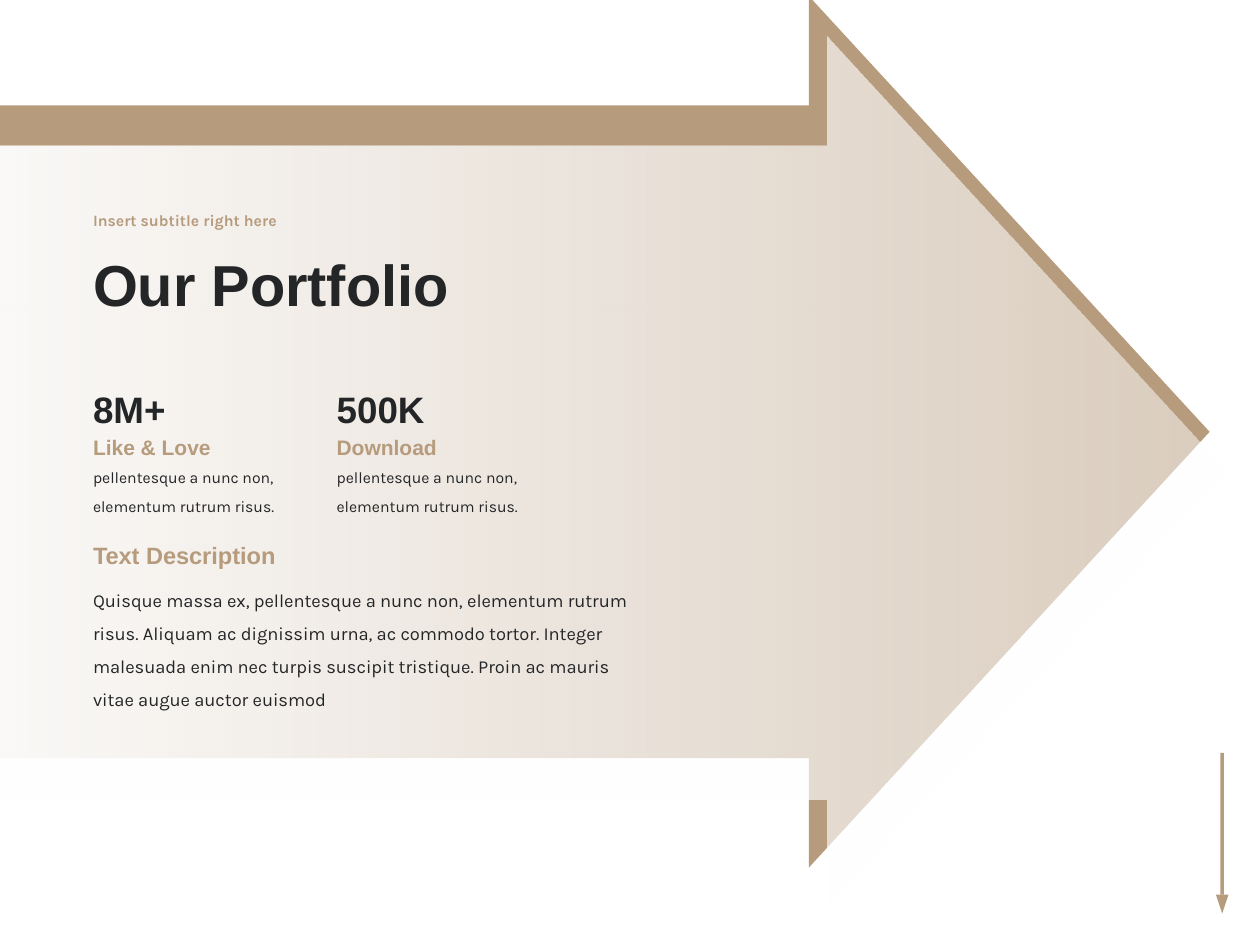
from lxml.etree import SubElement
from pptx import Presentation
from pptx.dml.color import RGBColor
from pptx.enum.shapes import MSO_SHAPE as Shape
from pptx.enum.text import MSO_ANCHOR as Anchor, MSO_AUTO_SIZE as AutoSize
from pptx.oxml.ns import qn
from pptx.util import Pt

TAN = RGBColor(0xB6, 0x9B, 0x7D)
DARK = RGBColor(0x24, 0x25, 0x27)
WHITE = RGBColor(0xFF, 0xFF, 0xFF)
HEADING_FONT, BODY_FONT = "Arial", "Karla"


def finish_solid(shape, color):
    shape.shadow.inherit = False
    shape.fill.solid()
    shape.fill.fore_color.rgb = color
    shape.line.fill.background()


def fade_white(shape, opacities):
    """Fill with white that turns more transparent from left to right."""
    shape.fill.gradient()
    shape.fill.gradient_angle = 0
    for stop, position, opacity in zip(shape.fill.gradient_stops, (0, 1), opacities):
        stop.position = position
        stop.color.rgb = WHITE
        color = stop._gs.find(qn("a:srgbClr"))
        SubElement(color, qn("a:alpha")).set("val", str(opacity * 1000))


def add_text(slide, box, text, size, color, font=HEADING_FONT, bold=True,
             spacing=None, anchor=Anchor.TOP, grow=True):
    left, top, width, height = box
    shape = slide.shapes.add_textbox(Pt(left), Pt(top), Pt(width), Pt(height))
    frame = shape.text_frame
    frame.word_wrap = True
    frame.auto_size = AutoSize.SHAPE_TO_FIT_TEXT if grow else AutoSize.NONE
    frame.vertical_anchor = anchor
    frame.text = text
    paragraph = frame.paragraphs[0]
    paragraph.line_spacing = spacing
    run_font = paragraph.runs[0].font
    run_font.name, run_font.size, run_font.bold = font, Pt(size), bold
    run_font.color.rgb = color


def add_big_arrow(slide, box, head_length=229, shaft_height=373):
    left, top, width, height = box
    right, middle = left + width, top + height / 2
    neck = right - head_length
    shaft_top, shaft_bottom = middle - shaft_height / 2, middle + shaft_height / 2
    points = [(right, middle), (neck, top + height), (neck, shaft_bottom),
              (left, shaft_bottom), (left, shaft_top), (neck, shaft_top)]
    builder = slide.shapes.build_freeform(Pt(neck), Pt(top))
    builder.add_line_segments([(Pt(x), Pt(y)) for x, y in points], close=True)
    shape = builder.convert_to_shape()
    finish_solid(shape, TAN)
    return shape


def add_down_arrow(slide, box, stem_width=2.16, head_height=10.8):
    left, top, width, height = box
    stem_height = height - head_height
    stem = slide.shapes.add_shape(
        Shape.RECTANGLE, Pt(left + (width - stem_width) / 2), Pt(top),
        Pt(stem_width), Pt(stem_height))
    head = slide.shapes.add_shape(
        Shape.ISOSCELES_TRIANGLE, Pt(left), Pt(top + stem_height),
        Pt(width), Pt(head_height))
    head.rotation = 180
    for part in (stem, head):
        finish_solid(part, TAN)


def add_heading(slide, box):
    left, top, width, height = box
    add_text(slide, (left, top + 14.4, width, height - 14.4), "Our Portfolio",
             33, DARK, spacing=0.9, anchor=Anchor.MIDDLE, grow=False)
    add_text(slide, (left, top, width, 27.4), "Insert subtitle right here",
             9, TAN, BODY_FONT, spacing=0.9, anchor=Anchor.MIDDLE, grow=False)


def add_statistic(slide, box, value, label):
    left, top, width, height = box
    add_text(slide, (left, top + 41, width, height - 41),
             "pellentesque a nunc non, elementum rutrum risus.",
             9, DARK, BODY_FONT, bold=False, spacing=1.5)
    add_text(slide, (left, top + 27.4, 108, 21.6), label, 12, TAN)
    add_text(slide, (left, top, 108, 32.4), value, 21, DARK)


def add_description(slide, box):
    left, top, width, height = box
    add_text(slide, (left, top, 158, 23.8), "Text Description", 13.5, TAN)
    add_text(slide, (left, top + 21.6, width, height - 21.6),
             "Quisque massa ex, pellentesque a nunc non, elementum rutrum risus. "
             "Aliquam ac dignissim urna, ac commodo tortor. Integer malesuada enim "
             "nec turpis suscipit tristique. Proin ac mauris vitae augue auctor euismod",
             10.5, DARK, BODY_FONT, bold=False, spacing=1.5)


def main():
    presentation = Presentation()
    presentation.slide_width, presentation.slide_height = Pt(720), Pt(540)
    slide = presentation.slides.add_slide(presentation.slide_layouts[6])

    # Corner arrow
    add_down_arrow(slide, (694.8, 430.2, 7.2, 91.8))

    # Tan arrow with a fading white arrow over it
    add_big_arrow(slide, (-10.8, -2.2, 702, 498))
    overlay = add_big_arrow(slide, (0, 21.1, 701.5, 498))
    fade_white(overlay, (95, 50))

    # Text, all on one left edge
    left = 46.1
    add_description(slide, (left, 305.3, 334, 84.2))
    for column, (value, label) in enumerate([("8M+", "Like & Love"), ("500K", "Download")]):
        add_statistic(slide, (left + column * 139.2, 217.4, 136, 79.2), value, label)
    add_heading(slide, (left, 113, 405.4, 88.6))

    presentation.save("out.pptx")


if __name__ == "__main__":
    main()
